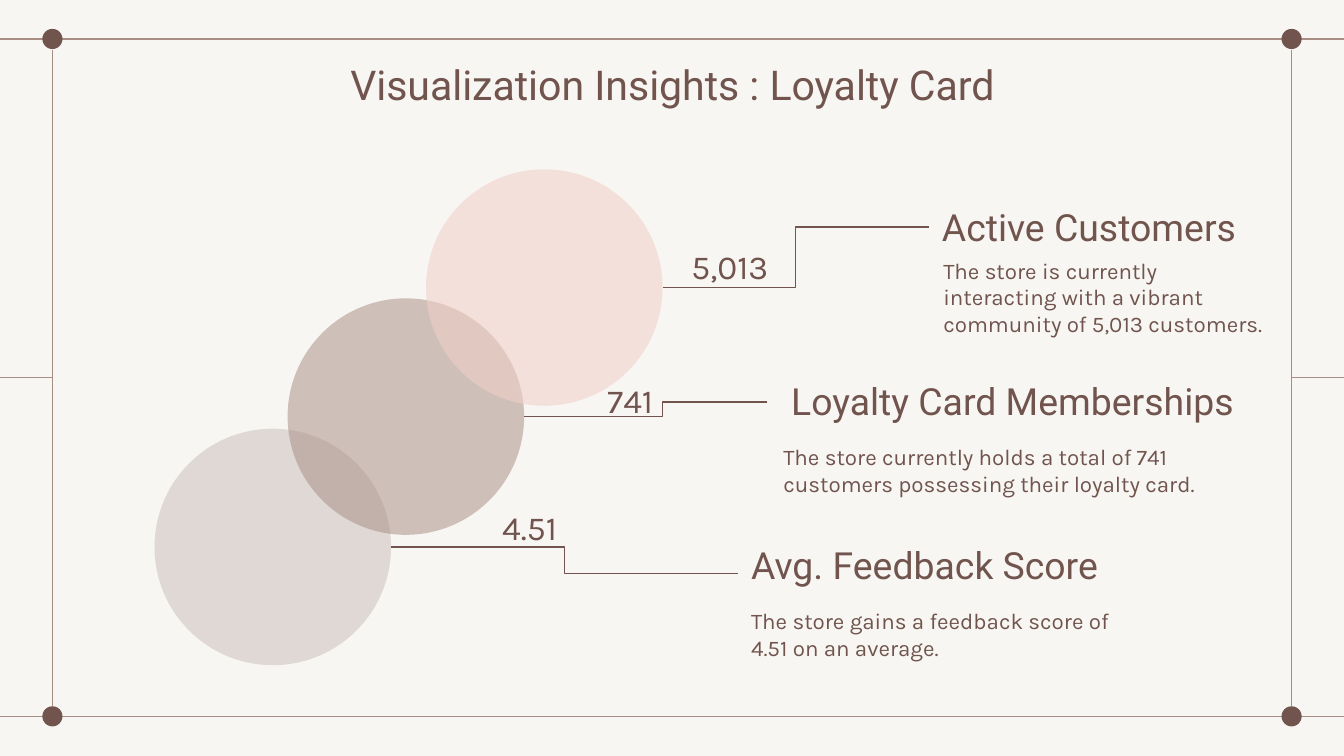
from dataclasses import dataclass

from lxml import etree
from pptx import Presentation
from pptx.dml.color import RGBColor
from pptx.enum.shapes import MSO_CONNECTOR, MSO_SHAPE
from pptx.enum.text import MSO_ANCHOR, PP_ALIGN
from pptx.oxml.ns import qn
from pptx.util import Inches, Pt


@dataclass(frozen=True)
class Theme:
    paper: str = "F8F6F2"
    ink: str = "70544D"
    frame: str = "A78D84"
    heading_font: str = "Roboto"
    body_font: str = "Karla"
    title_size: int = 22
    heading_size: int = 20
    figure_size: int = 18
    body_size: int = 12
    line_width: float = 0.75


class SlideBuilder:
    def __init__(self, slide, theme):
        self.slide = slide
        self.theme = theme
        background = slide.background.fill
        background.solid()
        background.fore_color.rgb = RGBColor.from_string(theme.paper)

    def line(self, start, end, color, kind=MSO_CONNECTOR.STRAIGHT, bend=None):
        connector = self.slide.shapes.add_connector(
            kind, *(Inches(value) for value in (*start, *end)))
        connector.line.color.rgb = RGBColor.from_string(color)
        connector.line.width = Pt(self.theme.line_width)
        properties = connector._element.spPr
        etree.SubElement(properties, qn("a:effectLst"))
        if bend is not None:
            guides = properties.find(qn("a:prstGeom")).get_or_add_avLst()
            etree.SubElement(guides, qn("a:gd"), name="adj1",
                             fmla=f"val {round(bend * 100000)}")

    def circle(self, left, top, size, color, opacity=100):
        disc = self.slide.shapes.add_shape(
            MSO_SHAPE.OVAL, Inches(left), Inches(top), Inches(size), Inches(size))
        disc.shadow.inherit = False
        disc.line.fill.background()
        disc.fill.solid()
        disc.fill.fore_color.rgb = RGBColor.from_string(color)
        if opacity < 100:
            tint = disc._element.spPr.find(qn("a:solidFill"))[0]
            etree.SubElement(tint, qn("a:alpha"), val=str(opacity * 1000))

    def text(self, words, box, size, font, align=PP_ALIGN.LEFT,
             anchor=MSO_ANCHOR.TOP, inset=0.1):
        frame = self.slide.shapes.add_textbox(
            *(Inches(value) for value in box)).text_frame
        frame.word_wrap = True
        frame.vertical_anchor = anchor
        frame.margin_left = frame.margin_right = Inches(0.1)
        frame.margin_top = frame.margin_bottom = Inches(inset)
        paragraph = frame.paragraphs[0]
        paragraph.text = words
        paragraph.alignment = align
        paragraph.font.size = Pt(size)
        paragraph.font.name = font
        paragraph.font.color.rgb = RGBColor.from_string(self.theme.ink)

    def title(self, words, box):
        self.text(words, box, self.theme.title_size, self.theme.heading_font,
                  PP_ALIGN.CENTER)

    def heading(self, words, box, align):
        self.text(words, box, self.theme.heading_size, self.theme.heading_font,
                  align, MSO_ANCHOR.BOTTOM)

    def body(self, words, box):
        self.text(words, box, self.theme.body_size, self.theme.body_font)

    def figure(self, words, box):
        self.text(words, box, self.theme.figure_size, self.theme.body_font,
                  PP_ALIGN.CENTER, inset=0.05)

    def border(self):
        dot = 0.15
        middle = 2.81
        for x, edge in ((0.39, 0), (9.61, 10)):
            self.line((x, 0.37), (x, 5.25), self.theme.frame)
            self.line((min(x, edge), middle), (max(x, edge), middle),
                      self.theme.frame)
        for y in (0.29, 5.33):
            self.line((-0.01, y), (10.01, y), self.theme.frame)
            for x in (0.39, 9.61):
                self.circle(x - dot / 2, y - dot / 2, dot, self.theme.ink)


CIRCLE_SIZE = 1.76
CIRCLES = [
    (1.15, 3.19, "D0C6C3", 61),
    (2.14, 2.22, "A78D84", 51),
    (3.17, 1.26, "F1D1C8", 57),
]
LEADERS = [
    ((6.91, 1.69), (4.93, 2.14), 0.5),
    ((5.71, 2.99), (3.9, 3.1), 0.43),
    ((5.49, 4.27), (2.91, 4.07), 0.5),
]
INSIGHTS = [
    ("Loyalty Card Memberships", (5.71, 2.72, 3.57, 0.53), PP_ALIGN.RIGHT,
     "The store currently holds a total of 741 customers possessing their loyalty card.",
     (5.73, 3.2, 3.78, 0.53)),
    ("Active Customers", (6.91, 1.42, 2.65, 0.53), PP_ALIGN.LEFT,
     "The store is currently interacting with a vibrant community of 5,013 customers.",
     (6.92, 1.81, 2.65, 0.75)),
    ("Avg. Feedback Score", (5.49, 4.07, 3.72, 0.4), PP_ALIGN.LEFT,
     "The store gains a feedback score of 4.51 on an average.",
     (5.49, 4.42, 3.13, 0.53)),
]
FIGURES = [
    ("5,013", (4.94, 1.78, 0.98, 0.4)),
    ("741", (4.18, 2.78, 1.02, 0.4)),
    ("4.51", (3.45, 3.72, 0.98, 0.4)),
]


def main():
    deck = Presentation()
    deck.slide_width = Inches(10)
    deck.slide_height = Inches(10) * 9 // 16
    theme = Theme()
    builder = SlideBuilder(deck.slides.add_slide(deck.slide_layouts[6]), theme)

    builder.border()
    builder.title("Visualization Insights : Loyalty Card", (0.79, 0.34, 8.43, 0.63))
    for left, top, color, opacity in CIRCLES:
        builder.circle(left, top, CIRCLE_SIZE, color, opacity)
    for start, end, bend in LEADERS:
        builder.line(start, end, theme.ink, MSO_CONNECTOR.ELBOW, bend)
    for name, name_box, align, detail, detail_box in INSIGHTS:
        builder.heading(name, name_box, align)
        builder.body(detail, detail_box)
    for value, value_box in FIGURES:
        builder.figure(value, value_box)

    deck.save("out.pptx")


if __name__ == "__main__":
    main()
